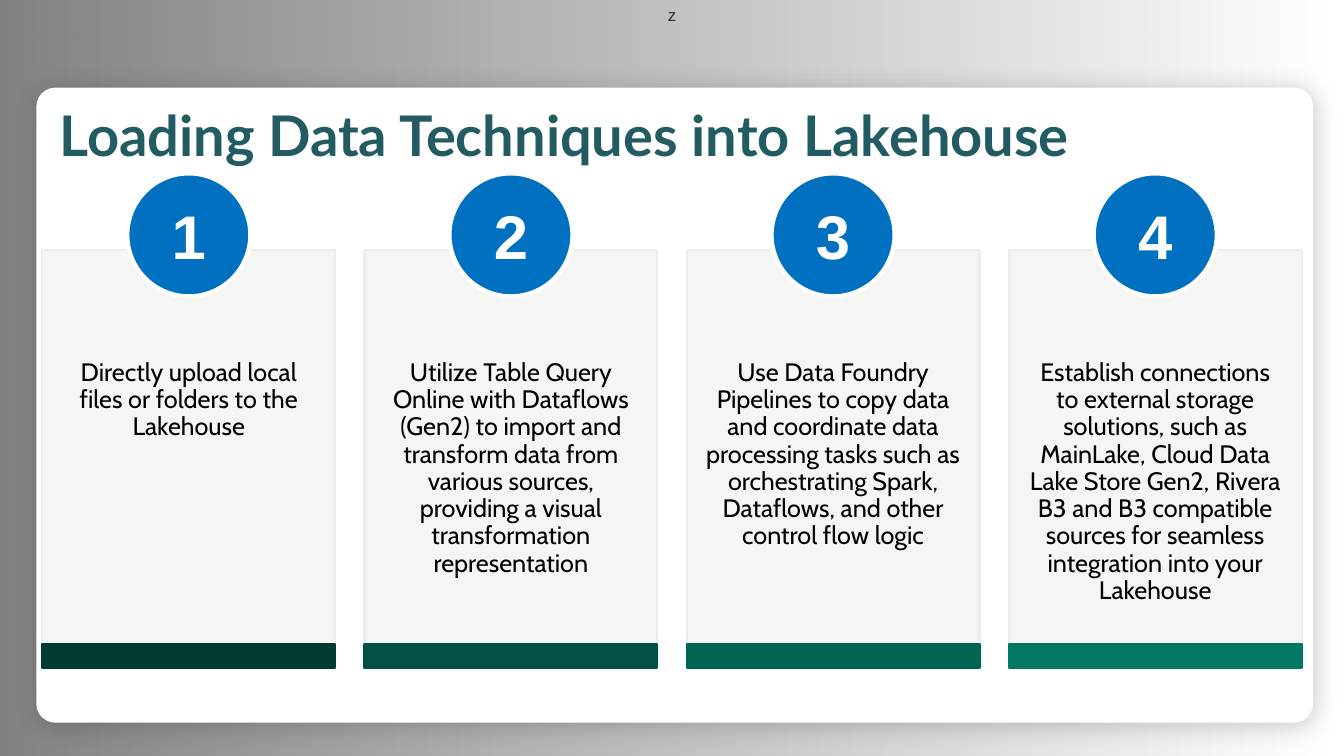
from dataclasses import dataclass

import lxml.etree
import pptx
import pptx.dml.color
import pptx.enum.shapes
import pptx.enum.text
import pptx.oxml.ns
import pptx.util

Inches = pptx.util.Inches
ShapeKind = pptx.enum.shapes.MSO_SHAPE
Align = pptx.enum.text.PP_ALIGN
Anchor = pptx.enum.text.MSO_ANCHOR
qn = pptx.oxml.ns.qn


@dataclass(frozen=True)
class Theme:
    title: str = "225B61"
    note: str = "2E2E38"
    black: str = "000000"
    white: str = "FFFFFF"
    card: str = "F5F5F4"
    card_line: str = "EDEDEB"
    badge: str = "0070C0"
    bars: tuple = ("003A30", "005043", "006453", "007864")
    title_font: str = "Lato"
    body_font: str = "Cabin"
    plain_font: str = "Arial"
    title_size: int = 40
    badge_size: int = 44
    body_size: int = 18
    note_size: int = 12


THEME = Theme()
SLIDE_WIDTH, SLIDE_HEIGHT = 13.33, 7.5
TECHNIQUES = (
    "Directly upload local files or folders to the Lakehouse",
    "Utilize Table Query Online with Dataflows (Gen2) to import and transform "
    "data from various sources, providing a visual transformation representation",
    "Use Data Foundry Pipelines to copy data and coordinate data processing tasks "
    "such as orchestrating Spark, Dataflows, and other control flow logic",
    "Establish connections to external storage solutions, such as MainLake, Cloud "
    "Data Lake Store Gen2, Rivera B3 and B3 compatible sources for seamless "
    "integration into your Lakehouse",
)


def rgb(value):
    return pptx.dml.color.RGBColor.from_string(value)


def add_block(slide, kind, box, fill, line=None, line_width=1.5):
    """Add a flat preset shape in box (left, top, width, height)."""
    shape = slide.shapes.add_shape(kind, *map(Inches, box))
    shape.shadow.inherit = False
    shape.fill.solid()
    shape.fill.fore_color.rgb = rgb(fill)
    if line:
        shape.line.color.rgb = rgb(line)
        shape.line.width = pptx.util.Pt(line_width)
    else:
        shape.line.fill.background()
    return shape


def write(shape, text, font, size, color, bold=False, align=Align.CENTER,
          anchor=Anchor.TOP, inset=None, spacing=None):
    frame = shape.text_frame
    frame.word_wrap = True
    frame.auto_size = pptx.enum.text.MSO_AUTO_SIZE.NONE
    frame.vertical_anchor = anchor
    if inset is not None:
        frame.margin_left = frame.margin_right = Inches(inset)
        frame.margin_top = frame.margin_bottom = Inches(inset)
    frame.text = text
    paragraph = frame.paragraphs[0]
    paragraph.alignment = align
    if spacing:
        paragraph.line_spacing = spacing
    run = paragraph.runs[0]
    run.font.name = font
    run.font.size = pptx.util.Pt(size)
    run.font.bold = bold
    run.font.color.rgb = rgb(color)


def set_alpha(color_element, percent):
    alpha = lxml.etree.SubElement(color_element, qn("a:alpha"))
    alpha.set("val", str(percent * 1000))


def add_soft_shadow(shape):
    effects = shape._element.spPr.find(qn("a:effectLst"))
    shadow = lxml.etree.SubElement(effects, qn("a:outerShdw"))
    shadow.set("blurRad", str(pptx.util.Pt(18)))
    shadow.set("dist", str(pptx.util.Pt(3)))
    shadow.set("dir", str(45 * 60000))
    color = lxml.etree.SubElement(shadow, qn("a:srgbClr"))
    color.set("val", THEME.black)
    set_alpha(color, 20)


def add_backdrop(slide, box):
    """Fading grey background with a rounded white panel."""
    left, top, width, height = box
    fade = add_block(slide, ShapeKind.RECTANGLE, box, THEME.black)
    fade.fill.gradient()
    fade.fill.gradient_angle = 180
    for stop, position in zip(fade.fill.gradient_stops, (0, 1)):
        stop.position = position
        stop.color.rgb = rgb(THEME.black)
    colors = fade._element.spPr.iter(qn("a:srgbClr"))
    for color, opacity in zip(colors, (0, 50)):
        set_alpha(color, opacity)
    write(fade, "z", THEME.plain_font, THEME.note_size, THEME.note)

    panel_box = (left + 0.027 * width, top + 0.116 * height,
                 0.95 * width, 0.84 * height)
    panel = add_block(slide, ShapeKind.ROUNDED_RECTANGLE, panel_box, THEME.white)
    panel.adjustments[0] = 0.03
    add_soft_shadow(panel)


def add_title(slide, box, text):
    title = slide.shapes.title
    title.left, title.top, title.width, title.height = map(Inches, box)
    write(title, text, THEME.title_font, THEME.title_size, THEME.title,
          bold=True, align=Align.LEFT, inset=0)
    # Bring the title in front of the panel
    slide.shapes._spTree.append(title._element)


def add_technique(slide, box, number, text, bar_color):
    """Card with a number badge on its top edge and a bar along its foot."""
    left, top, width, height = box
    badge_size, bar_height, margin = 1.22, 0.24, 0.08
    badge_top, card_top, text_top = top, top + 0.76, top + 1.8
    bar_top = top + height - bar_height

    # Card
    add_block(slide, ShapeKind.RECTANGLE,
              (left, card_top, width, bar_top - card_top),
              THEME.card, THEME.card_line)
    # Number badge
    badge = add_block(slide, ShapeKind.OVAL,
                      (left + (width - badge_size) / 2, badge_top,
                       badge_size, badge_size),
                      THEME.badge, THEME.white, 3)
    write(badge, str(number), THEME.plain_font, THEME.badge_size, THEME.white,
          bold=True, anchor=Anchor.MIDDLE, inset=0)
    # Foot bar
    add_block(slide, ShapeKind.RECTANGLE, (left, bar_top, width, bar_height),
              bar_color, bar_color)
    # Description
    description = slide.shapes.add_textbox(*map(Inches, (
        left + margin, text_top, width - 2 * margin, bar_top - text_top - 0.3)))
    write(description, text, THEME.body_font, THEME.body_size, THEME.black,
          spacing=0.9)


def add_technique_row(slide, box, gap=0.29):
    """Equal columns, one for each technique."""
    left, top, width, height = box
    count = len(TECHNIQUES)
    column = (width - gap * (count - 1)) / count
    for index, (text, color) in enumerate(zip(TECHNIQUES, THEME.bars)):
        column_box = (left + index * (column + gap), top, column, height)
        add_technique(slide, column_box, index + 1, text, color)


def main():
    presentation = pptx.Presentation()
    presentation.slide_width = Inches(SLIDE_WIDTH)
    presentation.slide_height = Inches(SLIDE_HEIGHT)
    title_only = presentation.slide_layouts[5]
    slide = presentation.slides.add_slide(title_only)

    add_backdrop(slide, (0, 0, SLIDE_WIDTH, SLIDE_HEIGHT))
    add_title(slide, (0.59, 1, 10.67, 0.67),
              "Loading Data Techniques into Lakehouse")
    add_technique_row(slide, (0.42, 1.72, 12.49, 4.91))
    presentation.save("out.pptx")


if __name__ == "__main__":
    main()
